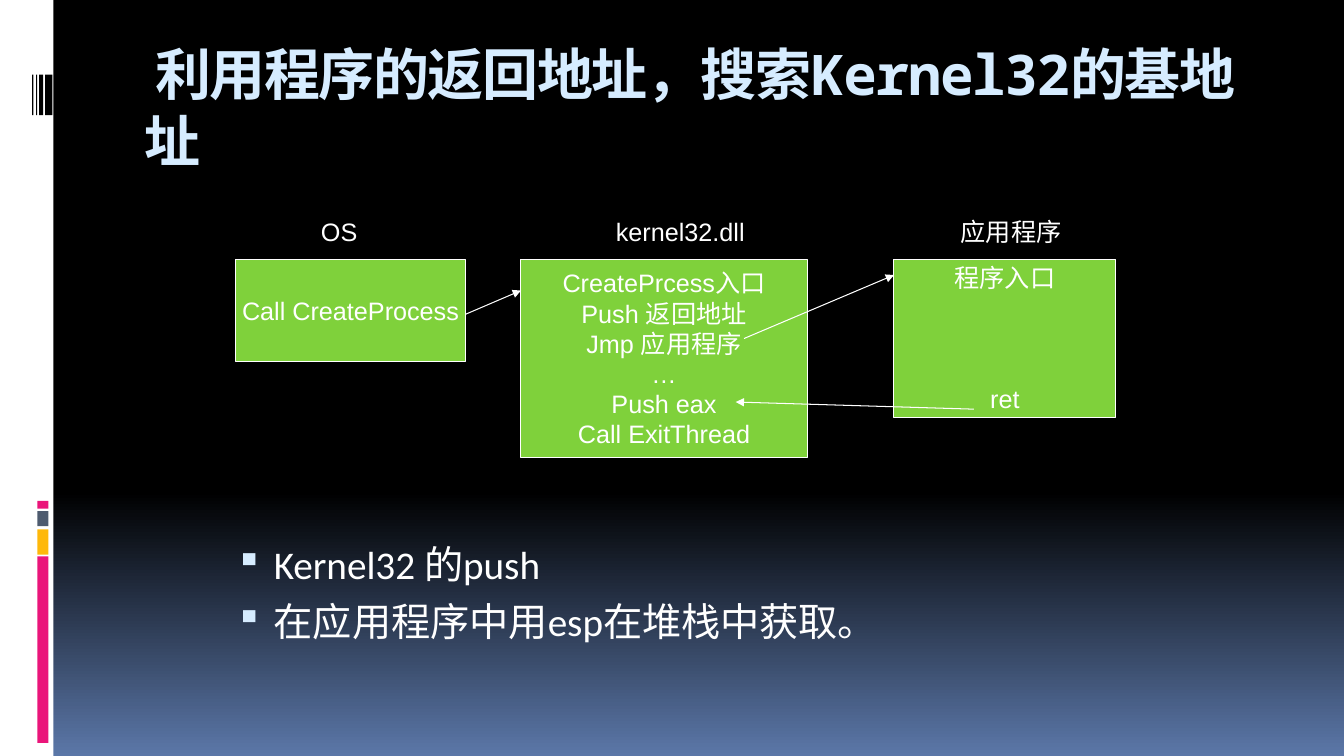
"""Build the slide on finding the Kernel32 base address from a return address."""
from dataclasses import dataclass

from lxml import etree
from pptx import Presentation
from pptx import util as u
from pptx.dml.color import RGBColor
from pptx.enum import shapes, text
from pptx.oxml import ns


@dataclass(frozen=True)
class Theme:
    white: str = "FFFFFF"
    black: str = "000000"
    blue: str = "5B77A8"
    pink: str = "EA157A"
    amber: str = "FEB80A"
    slate: str = "4E5B6F"
    green: str = "7FD13B"
    pale: str = "D6ECFF"
    title_size: int = 40
    body_size: int = 28
    label_size: int = 18


theme = Theme()


def add_xml(parent, tag, **attributes):
    return etree.SubElement(parent, ns.qn(tag), attributes)


def style(paragraph, name, size, color, bold=False):
    font = paragraph.font
    font.name, font.size, font.bold = name, u.Pt(size), bold
    font.color.rgb = RGBColor.from_string(color)


presentation = Presentation()
presentation.slide_width, presentation.slide_height = u.Cm(33.87), u.Cm(19.05)
slide = presentation.slides.add_slide(presentation.slide_layouts[6])

background = slide.background.fill
background.gradient()
background.gradient_angle = 270
for stop, position, color in zip(background.gradient_stops, (0.65, 1), (theme.black, theme.blue)):
    stop.position = position
    stop.color.rgb = RGBColor.from_string(color)

side_bars = [(0, 0, 1.35, 19.05, theme.white)]
for top, height, color in [(14.02, 4.7, theme.pink), (13.34, 0.64, theme.amber),
                           (12.88, 0.38, theme.slate), (12.62, 0.2, theme.pink)]:
    side_bars.append((0.94, top, 0.28, height, color))
for left, width in [(1.14, 0.18), (0.99, 0.1), (0.91, 0.03), (0.81, 0.03)]:
    side_bars.append((left, 1.88, width, 1.02, theme.black))
for *bounds, color in side_bars:
    bar = slide.shapes.add_shape(shapes.MSO_SHAPE.RECTANGLE, *map(u.Cm, bounds))
    bar.shadow.inherit = False
    bar.fill.solid()
    bar.fill.fore_color.rgb = RGBColor.from_string(color)
    bar.line.fill.background()

title = slide.shapes.add_textbox(u.Cm(3.38), u.Cm(1.42), u.Cm(28.78), u.Cm(2.54)).text_frame
title.word_wrap = True
title.vertical_anchor = text.MSO_ANCHOR.MIDDLE
title.text = " 利用程序的返回地址，搜索Kernel32的基地址"
style(title.paragraphs[0], "Noto Sans Mono", theme.title_size, theme.pale, bold=True)
title.paragraphs[0].runs[0]._r.get_or_add_rPr().set("spc", "-100")

body = slide.shapes.add_textbox(u.Cm(5.51), u.Cm(13.49), u.Cm(22.86), u.Cm(3.53)).text_frame
body.word_wrap = True
body.text = "Kernel32 的push\n在应用程序中用esp在堆栈中获取。"
for paragraph in body.paragraphs:
    properties = paragraph._p.get_or_add_pPr()
    properties.set("marL", str(u.Cm(1.14)))
    properties.set("indent", str(u.Cm(-0.97)))
    add_xml(add_xml(properties, "a:buClr"), "a:srgbClr", val=theme.pale)
    add_xml(properties, "a:buSzPct", val="95000")
    add_xml(properties, "a:buChar", char="▪")
    style(paragraph, "Calibri", theme.body_size, theme.white)
body.paragraphs[1].space_before = u.Pt(7)

code_boxes = [
    (5.94, 5.79, 2.59, ["Call CreateProcess"]),
    (13.13, 7.21, 5, ["CreatePrcess入口", "Push 返回地址", "Jmp 应用程序", "…",
                      "Push eax", "Call ExitThread"]),
    (22.53, 5.59, 3.99, ["程序入口", "ret"]),
]
for left, width, height, lines in code_boxes:
    box = slide.shapes.add_shape(shapes.MSO_SHAPE.RECTANGLE, u.Cm(left), u.Cm(6.53),
                                 u.Cm(width), u.Cm(height))
    box.shadow.inherit = False
    box.fill.solid()
    box.fill.fore_color.rgb = RGBColor.from_string(theme.green)
    box.line.color.rgb = RGBColor.from_string(theme.white)
    box.line.width = u.Pt(0.75)
    frame = box.text_frame
    frame.word_wrap = False
    frame.vertical_anchor = text.MSO_ANCHOR.MIDDLE
    frame.text = "\n".join(lines)
    for paragraph in frame.paragraphs:
        paragraph.alignment = text.PP_ALIGN.CENTER
        style(paragraph, "Arial", theme.label_size, theme.white)
    if lines[-1] == "ret":
        frame.paragraphs[-1].space_before = u.Pt(65)

headings = slide.shapes.add_textbox(u.Cm(5.74), u.Cm(5.33), u.Cm(22.2), u.Cm(1.02)).text_frame
headings.word_wrap = True
headings.text = "\tOS\tkernel32.dll\t应用程序"
tabs = add_xml(headings.paragraphs[0]._p.get_or_add_pPr(), "a:tabLst")
for position in (2.1, 9.53, 18.22):
    add_xml(tabs, "a:tab", pos=str(u.Cm(position)), algn="l")
style(headings.paragraphs[0], "Arial", theme.label_size, theme.white)

for ends in [(11.73, 7.92, 13.13, 7.32), (18.75, 8.53, 22.53, 6.93), (24.54, 10.31, 18.54, 10.13)]:
    arrow = slide.shapes.add_connector(shapes.MSO_CONNECTOR.STRAIGHT, *map(u.Cm, ends))
    arrow.line.color.rgb = RGBColor.from_string(theme.white)
    arrow.line.width = u.Pt(0.75)
    add_xml(arrow.line._get_or_add_ln(), "a:tailEnd", type="triangle")
    add_xml(arrow._element.spPr, "a:effectLst")

presentation.save("out.pptx")
